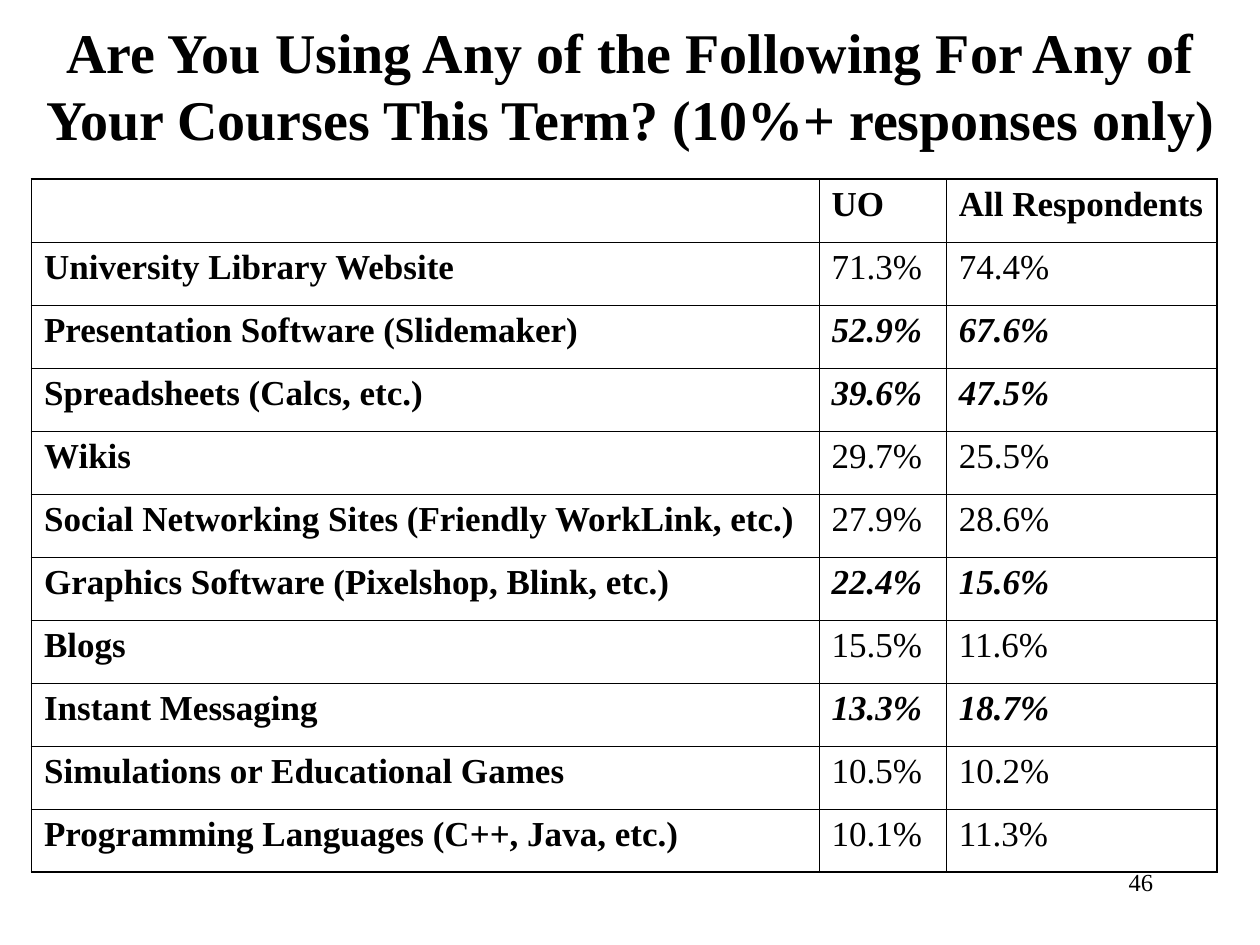
from lxml.etree import SubElement
from pptx import Presentation
from pptx.dml.color import RGBColor
from pptx.enum.text import MSO_ANCHOR, PP_ALIGN
from pptx.oxml import parse_xml
from pptx.oxml.ns import nsdecls, qn
from pptx.util import Inches, Pt

COLORS = {"text": "000000", "border": "000000"}
FONT = "Times New Roman"
THIN, THICK = 0.45, 1.08

ROWS = [
    ("", "UO", "All Respondents"),
    ("University Library Website", "71.3%", "74.4%"),
    ("Presentation Software (Slidemaker)", "52.9%", "67.6%"),
    ("Spreadsheets (Calcs, etc.)", "39.6%", "47.5%"),
    ("Wikis", "29.7%", "25.5%"),
    ("Social Networking Sites (Friendly WorkLink, etc.)", "27.9%", "28.6%"),
    ("Graphics Software (Pixelshop, Blink, etc.)", "22.4%", "15.6%"),
    ("Blogs", "15.5%", "11.6%"),
    ("Instant Messaging", "13.3%", "18.7%"),
    ("Simulations or Educational Games", "10.5%", "10.2%"),
    ("Programming Languages (C++, Java, etc.)", "10.1%", "11.3%"),
]
EMPHASIZED = {2, 3, 6, 8}
COL_WIDTHS = [6.25, 1.01, 2.15]
ROW_HEIGHT = 0.5


def write(tf, text, size, bold=False, italic=False, align=PP_ALIGN.LEFT):
    p = tf.paragraphs[0]
    p.text = text
    p.alignment = align
    f = p.font
    f.name, f.size, f.bold, f.italic = FONT, Pt(size), bold, italic
    f.color.rgb = RGBColor.from_string(COLORS["text"])
    return p


def set_borders(cell, widths):
    tcPr = cell._tc.get_or_add_tcPr()
    for i, (side, width) in enumerate(widths.items()):
        ln = parse_xml(f'<a:ln{side} {nsdecls("a")} w="{Pt(width)}"/>')
        fill = SubElement(ln, qn("a:solidFill"))
        SubElement(fill, qn("a:srgbClr"), val=COLORS["border"])
        tcPr.insert(i, ln)


prs = Presentation()
prs.slide_width, prs.slide_height = Inches(10), Inches(7.5)
s = prs.slides.add_slide(prs.slide_layouts[6])

# Title
tf = s.shapes.add_textbox(Inches(0.17), Inches(0.17), Inches(9.67), Inches(1)).text_frame
tf.word_wrap = True
tf.vertical_anchor = MSO_ANCHOR.MIDDLE
write(tf, "Are You Using Any of the Following For Any of Your Courses This Term? "
      "(10%+ responses only)", 32, bold=True, align=PP_ALIGN.CENTER)

# Survey table
last_row, last_col = len(ROWS) - 1, len(COL_WIDTHS) - 1
table = s.shapes.add_table(
    len(ROWS), len(COL_WIDTHS), Inches(0.25), Inches(1.42),
    Inches(sum(COL_WIDTHS)), Inches(ROW_HEIGHT * len(ROWS))).table
table.first_row = table.horz_banding = False
for col, width in zip(table.columns, COL_WIDTHS):
    col.width = Inches(width)
for i, row in enumerate(ROWS):
    table.rows[i].height = Inches(ROW_HEIGHT)
    for j, text in enumerate(row):
        cell = table.cell(i, j)
        cell.fill.background()
        emphasized = i in EMPHASIZED
        p = write(cell.text_frame, text, 20, bold=i == 0 or j == 0 or emphasized,
                  italic=emphasized and j > 0)
        if text:
            p.space_before = Pt(5)
        set_borders(cell, {
            "L": THICK if j == 0 else THIN,
            "R": THICK if j == last_col else THIN,
            "T": THICK if i == 0 else THIN,
            "B": THICK if i == last_row else THIN,
        })

# Page number
tf = s.shapes.add_textbox(Inches(7.17), Inches(6.83), Inches(2.08), Inches(0.5)).text_frame
tf.word_wrap = True
write(tf, "46", 14, align=PP_ALIGN.RIGHT)

prs.save("out.pptx")
